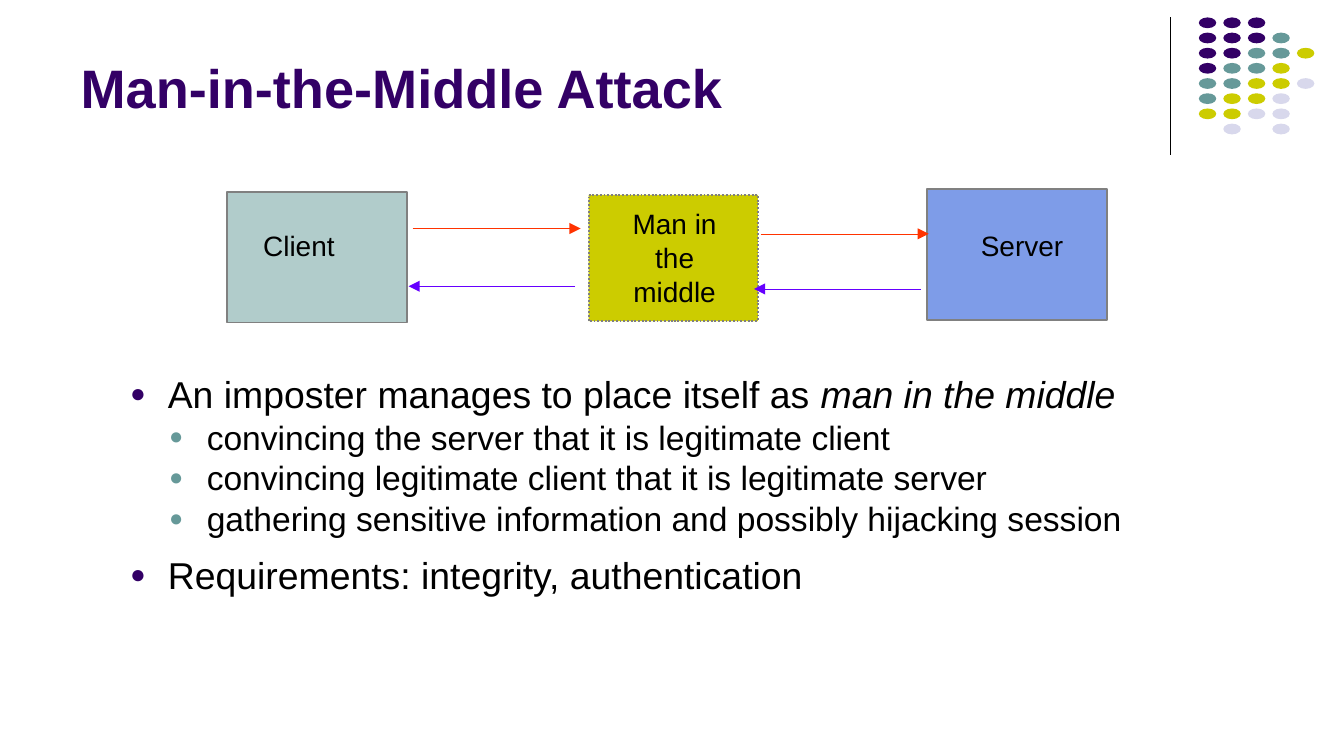
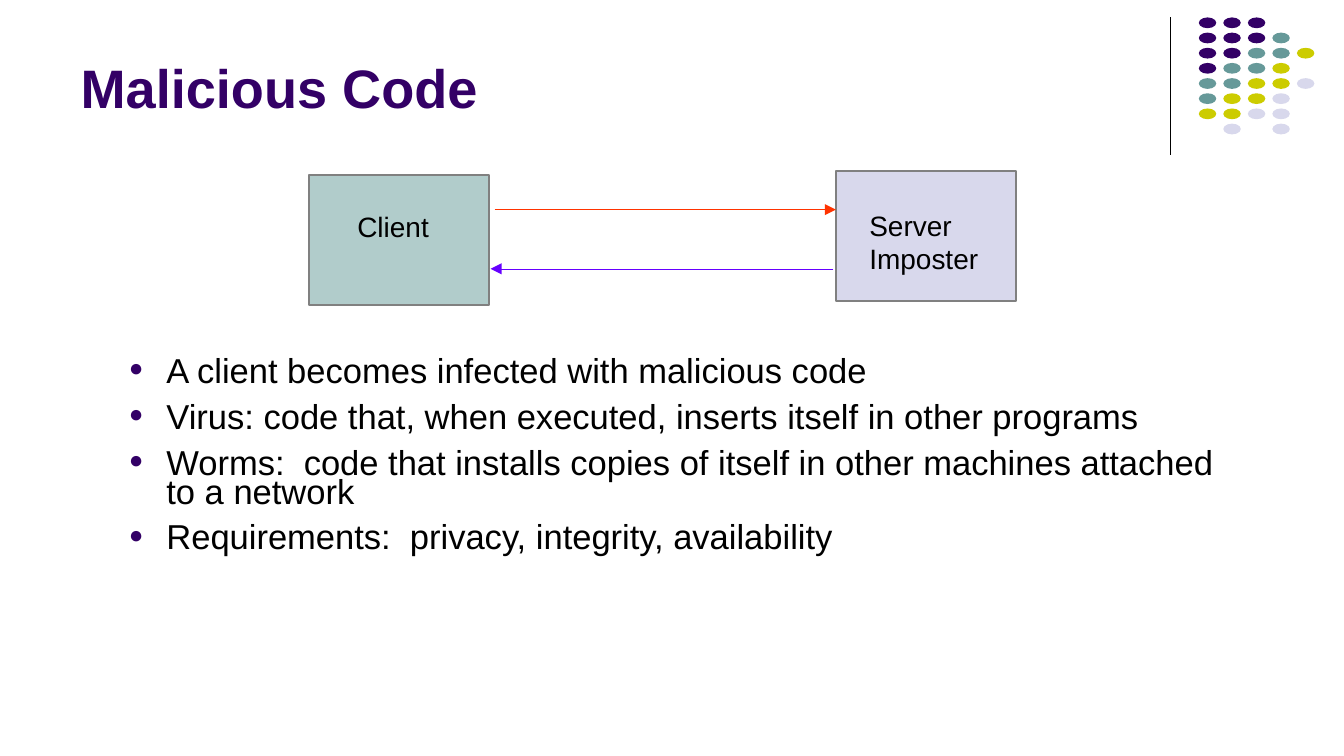
"""Builds two slides on network attacks, each with a message diagram and bullets."""
from dataclasses import dataclass

from lxml.etree import SubElement
from pptx import Presentation
from pptx.dml.color import RGBColor
from pptx.enum.dml import MSO_LINE
from pptx.enum.shapes import MSO_CONNECTOR, MSO_SHAPE
from pptx.enum.text import MSO_ANCHOR, MSO_AUTO_SIZE, PP_ALIGN
from pptx.oxml.ns import qn
from pptx.util import Inches, Pt

FONT = "Arial"
COLORS = {
    "purple": "330066",
    "teal": "669999",
    "olive": "CCCC00",
    "lavender": "D8D8EC",
    "client": "B1CCCB",
    "server": "7E9CE8",
    "outline": "808080",
    "request": "FF3300",
    "reply": "6600FF",
    "black": "000000",
}
DOT_ROWS = ("PPP", "PPPT", "PPTTY", "PTTY", "TTYYL", "TYYL", "YYLL", " L L")
DOT_COLORS = {"P": "purple", "T": "teal", "Y": "olive", "L": "lavender"}
DOT_PITCH_X = 0.73 / 4
DOT_PITCH_Y = 0.79 / 7
LEVEL_COLORS = ("purple", "teal")


@dataclass(frozen=True)
class Party:
    """A labelled box in the message diagram."""
    label: str
    box: tuple[float, float, float, float]
    label_area: tuple[float, float, float, float]
    fill: str
    intruder: bool = False


@dataclass(frozen=True)
class Message:
    """An arrow from a sender to a receiver at one height."""
    sender_x: float
    receiver_x: float
    y: float
    color: str


@dataclass(frozen=True)
class Bullet:
    """A bullet with an optional italic ending."""
    text: str
    size: float
    space_before: float = 0
    level: int = 0
    emphasis: str = ""


@dataclass(frozen=True)
class Attack:
    """The content of one slide."""
    title: str
    parties: tuple[Party, ...]
    messages: tuple[Message, ...]
    bullet_area: tuple[float, float, float, float]
    line_spacing: float
    bullets: tuple[Bullet, ...]


ATTACKS = (
    Attack(
        "Man-in-the-Middle Attack",
        (
            Party("Client", (1.69, 1.43, 1.34, 0.97), (1.86, 1.65, 1, 0.35), "client"),
            Party("Server", (6.9, 1.41, 1.34, 0.97), (7.2, 1.65, 1, 0.35), "server"),
            Party("Man in the middle", (4.38, 1.45, 1.26, 0.94),
                  (4.57, 1.49, 0.9, 0.85), "olive", intruder=True),
        ),
        (
            Message(3.07, 4.32, 1.7, "request"),
            Message(4.28, 3.04, 2.13, "reply"),
            Message(5.66, 6.91, 1.74, "request"),
            Message(6.85, 5.61, 2.15, "reply"),
        ),
        (0.87, 2.78, 8.11, 1.84),
        0.8,
        (
            Bullet("An imposter manages to place itself as ", 20, emphasis="man in the middle"),
            Bullet("convincing the server that it is legitimate client", 18, 4.5, 1),
            Bullet("convincing legitimate client that it is legitimate server", 18, 4.5, 1),
            Bullet("gathering sensitive information and possibly hijacking session", 18, 4.5, 1),
            Bullet("Requirements: integrity, authentication", 20, 12),
        ),
    ),
    Attack(
        "Malicious Code",
        (
            Party("Client", (2.3, 1.3, 1.34, 0.97), (2.56, 1.51, 1.01, 0.35), "client"),
            Party("Server Imposter", (6.22, 1.27, 1.34, 0.97), (6.37, 1.5, 1.09, 0.6), "lavender"),
        ),
        (Message(3.68, 6.22, 1.56, "request"), Message(6.2, 3.65, 2, "reply")),
        (0.86, 2.63, 8.32, 1.72),
        0.7,
        (
            Bullet("A client becomes infected with malicious code", 18.5),
            Bullet("Virus: code that, when executed, inserts itself in other programs", 18.5, 9),
            Bullet("Worms:  code that installs copies of itself in other machines "
                   "attached to a network", 18.5, 9),
            Bullet("Requirements:  privacy, integrity, availability", 18.5, 9),
        ),
    ),
)


def rgb(name: str) -> RGBColor:
    """Return a palette colour."""
    return RGBColor.from_string(COLORS[name])


def style_run(run, size: float, color: str = "black", bold: bool = False) -> None:
    """Set the font of a run."""
    run.font.name = FONT
    run.font.size = Pt(size)
    run.font.bold = bold
    run.font.color.rgb = rgb(color)


def add_filled(slide, kind: MSO_SHAPE, area: tuple, fill: str):
    """Add a flat shape without an outline."""
    shape = slide.shapes.add_shape(kind, *map(Inches, area))
    shape.shadow.inherit = False
    shape.fill.solid()
    shape.fill.fore_color.rgb = rgb(fill)
    shape.line.fill.background()
    return shape


def add_line(slide, start: tuple, end: tuple, color: str, width: float, arrow: bool = False) -> None:
    """Add a straight line, with an arrowhead at its end if wanted."""
    line = slide.shapes.add_connector(MSO_CONNECTOR.STRAIGHT, *map(Inches, (*start, *end)))
    line.line.color.rgb = rgb(color)
    line.line.width = Pt(width)
    if arrow:
        SubElement(line.line._get_or_add_ln(), qn("a:tailEnd"), type="triangle")
    SubElement(line._element.spPr, qn("a:effectLst"))


def add_text_frame(slide, area: tuple):
    """Add a wrapping text box and return its frame."""
    frame = slide.shapes.add_textbox(*map(Inches, area)).text_frame
    frame.word_wrap = True
    return frame


def add_corner(slide) -> None:
    """Draw the divider and the dot pattern in the top right corner."""
    add_line(slide, (8.71, 0.13), (8.71, 1.15), "black", 0.75)
    for row, codes in enumerate(DOT_ROWS):
        for column, code in enumerate(codes):
            if code in DOT_COLORS:
                area = (8.92 + column * DOT_PITCH_X, 0.13 + row * DOT_PITCH_Y, 0.13, 0.08)
                add_filled(slide, MSO_SHAPE.OVAL, area, DOT_COLORS[code])


def set_title(slide, text: str) -> None:
    """Place and format the title."""
    title = slide.shapes.title
    title.left, title.top, title.width, title.height = map(Inches, (0.5, 0.1, 8.25, 0.84))
    frame = title.text_frame
    frame.text = text
    frame.auto_size = MSO_AUTO_SIZE.NONE
    frame.vertical_anchor = MSO_ANCHOR.BOTTOM
    frame.paragraphs[0].alignment = PP_ALIGN.LEFT
    style_run(frame.paragraphs[0].runs[0], 29, "purple", bold=True)


def add_party(slide, party: Party) -> None:
    """Draw a party's box and label."""
    box = add_filled(slide, MSO_SHAPE.RECTANGLE, party.box, party.fill)
    box.line.color.rgb = rgb("outline")
    box.line.width = Pt(1)
    if party.intruder:
        box.line.dash_style = MSO_LINE.ROUND_DOT
    frame = add_text_frame(slide, party.label_area)
    frame.text = party.label
    paragraph = frame.paragraphs[0]
    paragraph.alignment = PP_ALIGN.CENTER if party.intruder else PP_ALIGN.LEFT
    style_run(paragraph.runs[0], 15)


def format_bullet(paragraph, level: int) -> None:
    """Give a paragraph its indent and coloured bullet."""
    properties = paragraph._p.get_or_add_pPr()
    properties.set("marL", str(Inches((0.28, 0.57)[level])))
    properties.set("indent", str(Inches(-0.28)))
    bullet_color = SubElement(properties, qn("a:buClr"))
    SubElement(bullet_color, qn("a:srgbClr"), val=COLORS[LEVEL_COLORS[level]])
    SubElement(properties, qn("a:buSzPct"), val="70000")
    SubElement(properties, qn("a:buFont"), typeface=FONT)
    SubElement(properties, qn("a:buChar"), char="●")


def add_bullets(slide, attack: Attack) -> None:
    """Write the bullet list of an attack."""
    frame = add_text_frame(slide, attack.bullet_area)
    for index, bullet in enumerate(attack.bullets):
        paragraph = frame.add_paragraph() if index else frame.paragraphs[0]
        paragraph.text = bullet.text
        format_bullet(paragraph, bullet.level)
        paragraph.level = bullet.level
        paragraph.line_spacing = attack.line_spacing
        paragraph.space_before = Pt(bullet.space_before)
        if bullet.emphasis:
            emphasis = paragraph.add_run()
            emphasis.text = bullet.emphasis
            emphasis.font.italic = True
        for run in paragraph.runs:
            style_run(run, bullet.size)


def add_attack(presentation, attack: Attack) -> None:
    """Build the slide of one attack."""
    slide = presentation.slides.add_slide(presentation.slide_layouts[5])
    add_corner(slide)
    for party in attack.parties:
        add_party(slide, party)
    for message in attack.messages:
        add_line(slide, (message.sender_x, message.y), (message.receiver_x, message.y),
                 message.color, 0.25, arrow=True)
    set_title(slide, attack.title)
    add_bullets(slide, attack)


def main() -> None:
    """Build and save the presentation."""
    presentation = Presentation()
    presentation.slide_width = Inches(10)
    presentation.slide_height = Inches(10) * 9 // 16
    for attack in ATTACKS:
        add_attack(presentation, attack)
    presentation.save("out.pptx")


if __name__ == "__main__":
    main()
